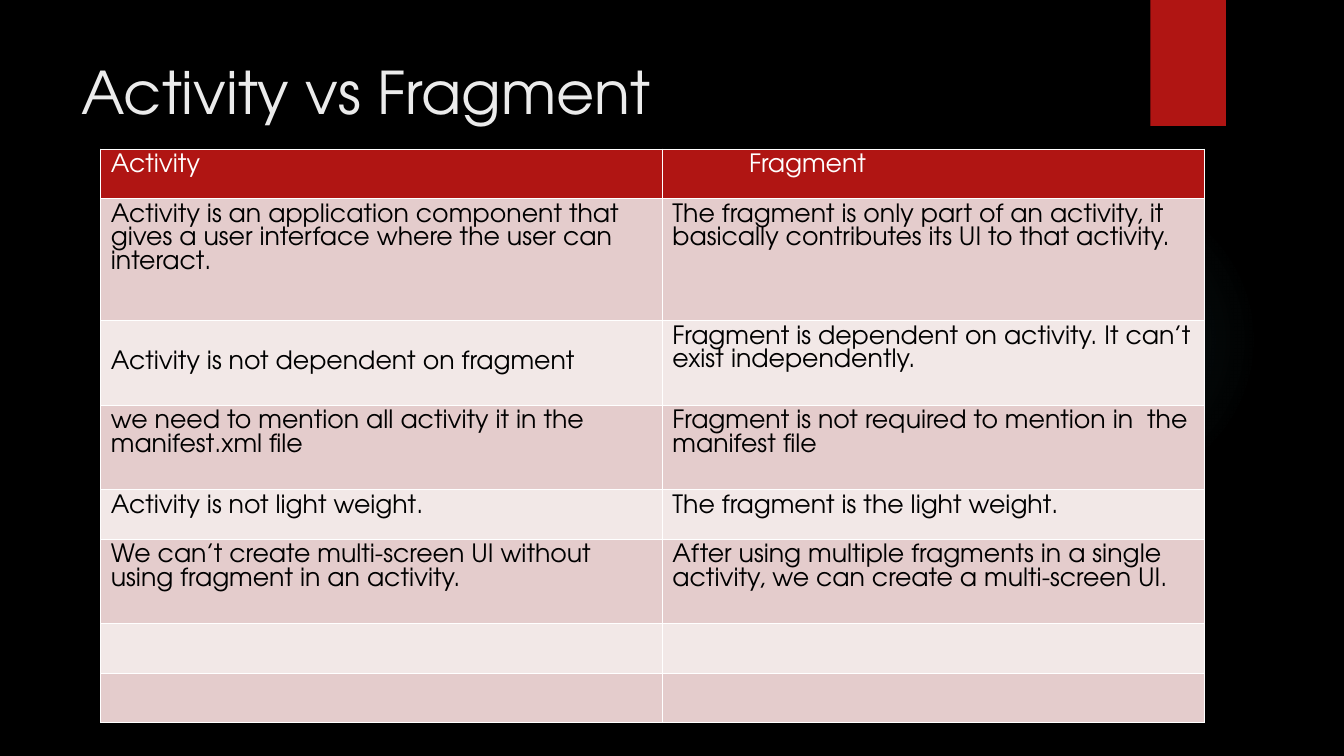
from lxml import etree
from pptx import Presentation
from pptx.dml.color import RGBColor
from pptx.enum.shapes import MSO_SHAPE
from pptx.enum.text import MSO_ANCHOR, PP_ALIGN
from pptx.oxml import parse_xml
from pptx.oxml.ns import nsdecls, qn
from pptx.util import Inches, Pt

RECTANGLE, OVAL = MSO_SHAPE.RECTANGLE, MSO_SHAPE.OVAL
TOP, MIDDLE, LEFT = MSO_ANCHOR.TOP, MSO_ANCHOR.MIDDLE, PP_ALIGN.LEFT
TITLE_ONLY = 5
FONT = "TeX Gyre Adventor"
COLORS = {
    "background": "000000",
    "accent": "B01513",
    "glow": "50B9C1",
    "title": "EBEBEB",
    "header_text": "FFFFFF",
    "body_text": "000000",
    "border": "FFFFFF",
    "odd_row": "E4CCCC",
    "even_row": "F2E8E7",
}
COMPARISON = [
    ("Activity", "Fragment"),
    ("Activity is an application component that gives a user interface where the user can interact.",
     "The fragment is only part of an activity, it basically contributes its UI to that activity."),
    ("Activity is not dependent on fragment",
     "Fragment is dependent on activity. It can’t exist independently."),
    ("we need to mention all activity it in the manifest.xml file",
     "Fragment is not required to mention in  the manifest file"),
    ("Activity is not light weight.", "The fragment is the light weight."),
    ("We can’t create multi-screen UI without using fragment in an activity.",
     "After using multiple fragments in a single activity, we can create a multi-screen UI."),
    ("", ""),
    ("", ""),
]
COLUMN_WIDTHS = (5.57, 5.38)
ROW_HEIGHTS = (0.49, 1.21, 0.84, 0.84, 0.49, 0.84, 0.49, 0.49)
INDEPENDENCE_CELL = (2, 0)
FRAGMENT_HEADER_CELL = (0, 1)


def rgb(name):
    return RGBColor.from_string(COLORS[name])


def format_font(font, size, color):
    for attribute, value in {"name": FONT, "size": Pt(size)}.items():
        setattr(font, attribute, value)
    font.color.rgb = rgb(color)


def add_glow(slide, left, top, diameter):
    """Add a faint circle that fades out towards its rim."""
    glow = slide.shapes.add_shape(
        OVAL, Inches(left), Inches(top), Inches(diameter), Inches(diameter))
    glow.shadow.inherit = False
    glow.line.fill.background()
    stops = "".join(
        f'<a:gs pos="{position}000"><a:srgbClr val="{COLORS["glow"]}">'
        f'<a:alpha val="{alpha}000"/></a:srgbClr></a:gs>'
        for position, alpha in ((0, 7), (36, 6), (69, 0)))
    gradient = parse_xml(
        f'<a:gradFill {nsdecls("a")}><a:gsLst>{stops}</a:gsLst><a:path path="circle">'
        '<a:fillToRect l="50000" t="50000" r="50000" b="50000"/></a:path></a:gradFill>')
    glow._element.spPr.find(qn("a:prstGeom")).addnext(gradient)


def add_ribbon(slide, left, top, width, height):
    ribbon = slide.shapes.add_shape(
        RECTANGLE, Inches(left), Inches(top), Inches(width), Inches(height))
    ribbon.shadow.inherit = False
    ribbon.fill.solid()
    ribbon.fill.fore_color.rgb = rgb("accent")
    ribbon.line.fill.background()


def place_title(slide, text, left, top, width, height):
    title = slide.shapes.title
    box = {"left": left, "top": top, "width": width, "height": height}
    for attribute, value in box.items():
        setattr(title, attribute, Inches(value))
    title.text_frame.text = text
    title.text_frame.vertical_anchor = TOP
    paragraph = title.text_frame.paragraphs[0]
    paragraph.alignment = LEFT
    format_font(paragraph.runs[0].font, 42, "title")


def set_borders(cell, width):
    properties = cell._tc.get_or_add_tcPr()
    for position, side in enumerate(("lnL", "lnR", "lnT", "lnB")):
        properties.insert(position, parse_xml(
            f'<a:{side} {nsdecls("a")} w="{Pt(width)}"><a:solidFill>'
            f'<a:srgbClr val="{COLORS["border"]}"/></a:solidFill></a:{side}>'))


def fill_cell(cell, text, fill, text_color):
    cell.fill.solid()
    cell.fill.fore_color.rgb = rgb(fill)
    set_borders(cell, 1)
    if text:
        cell.text = text
        format_font(cell.text_frame.paragraphs[0].runs[0].font, 18, text_color)


def add_comparison(slide, left, top):
    table = slide.shapes.add_table(
        len(COMPARISON), len(COLUMN_WIDTHS), Inches(left), Inches(top),
        Inches(sum(COLUMN_WIDTHS)), Inches(sum(ROW_HEIGHTS))).table
    for column, width in zip(table.columns, COLUMN_WIDTHS):
        column.width = Inches(width)
    for index, (texts, height) in enumerate(zip(COMPARISON, ROW_HEIGHTS)):
        table.rows[index].height = Inches(height)
        fill = "accent" if index == 0 else "odd_row" if index % 2 else "even_row"
        text_color = "body_text" if index else "header_text"
        for cell, text in zip(table.rows[index].cells, texts):
            fill_cell(cell, text, fill, text_color)

    independence = table.cell(*INDEPENDENCE_CELL)
    independence.vertical_anchor = MIDDLE
    independence.margin_top = independence.margin_bottom = Inches(0.15)
    header = table.cell(*FRAGMENT_HEADER_CELL).text_frame.paragraphs[0]
    header._p.get_or_add_pPr().set("marL", str(Inches(0.76)))


def main():
    presentation = Presentation()
    presentation.slide_width, presentation.slide_height = Inches(13.33), Inches(7.5)
    slide = presentation.slides.add_slide(presentation.slide_layouts[TITLE_ONLY])
    slide.background.fill.solid()
    slide.background.fill.fore_color.rgb = rgb("background")
    add_glow(slide, 9.41, 1.83, 3.08)
    add_ribbon(slide, 11.41, 0, 0.75, 1.25)
    place_title(slide, "Activity vs Fragment", 0.71, 0.5, 10.29, 1.53)
    add_comparison(slide, 1, 1.48)
    presentation.save("out.pptx")


if __name__ == "__main__":
    main()
